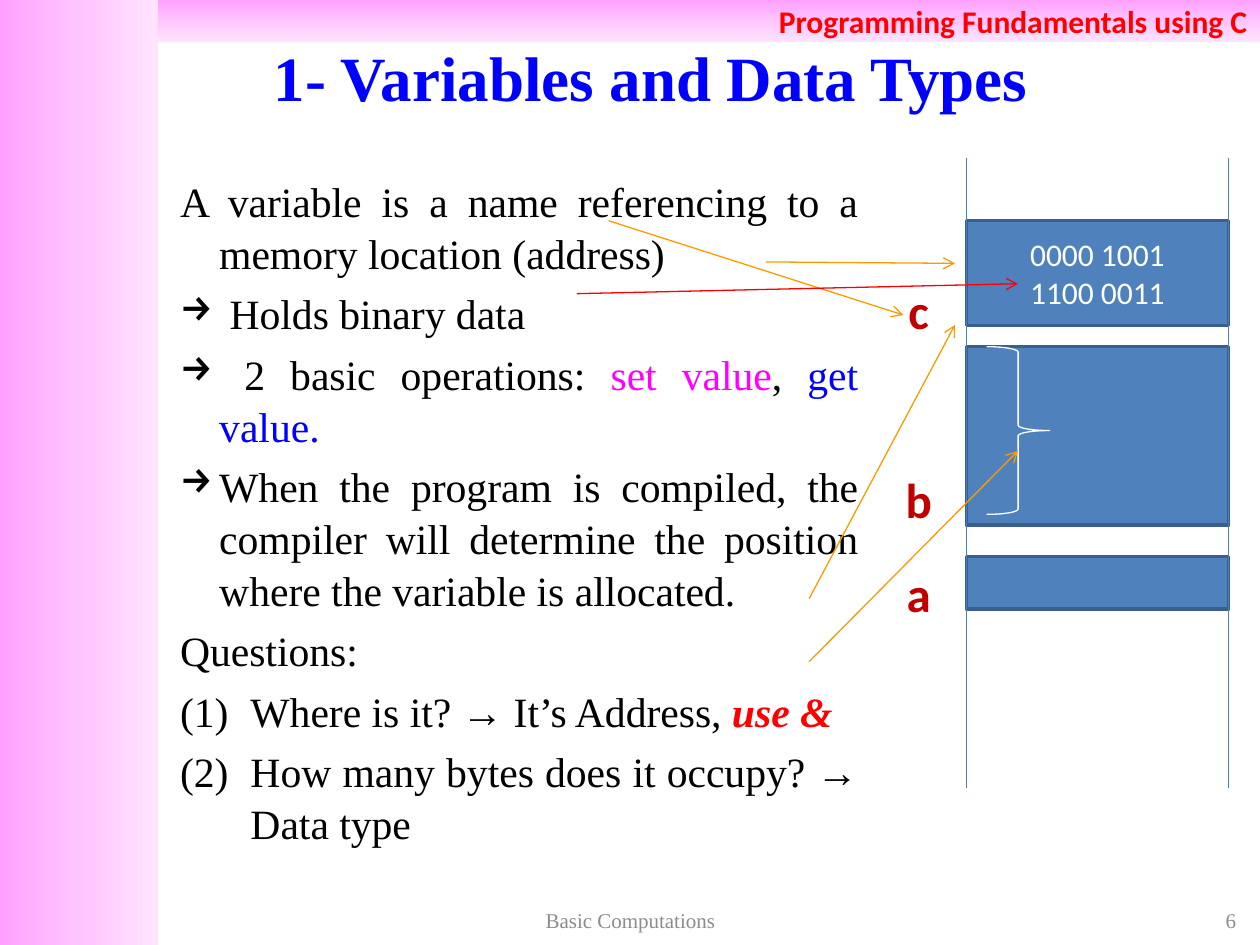
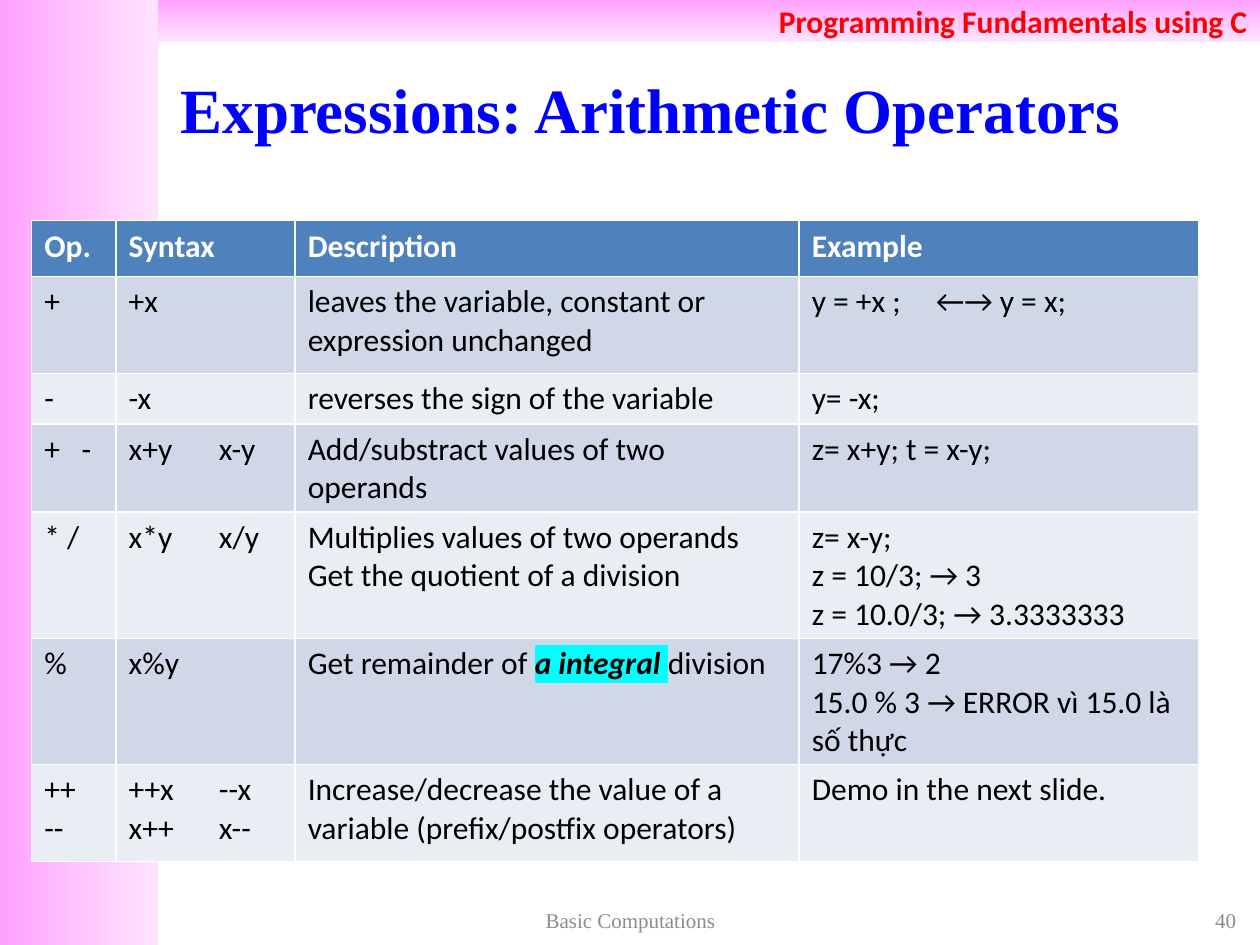
import copy
from dataclasses import dataclass

import pptx
import pptx.dml.color
import pptx.enum.shapes
import pptx.enum.text
import pptx.oxml
import pptx.oxml.ns
import pptx.util

Cm = pptx.util.Cm
Pt = pptx.util.Pt
ALIGN = pptx.enum.text.PP_ALIGN
ANCHOR = pptx.enum.text.MSO_ANCHOR
SHAPE = pptx.enum.shapes.MSO_SHAPE


@dataclass(frozen=True)
class Theme:
    serif: str = "Times New Roman"
    sans: str = "Calibri"
    # Colours
    band: tuple = ("FFA0FF", "FFC5FF", "FFE3FF")
    red: str = "FF0000"
    blue: str = "0000FF"
    magenta: str = "FF00FF"
    label: str = "C00000"
    orange: str = "FF9900"
    grey: str = "8C8C8C"
    black: str = "000000"
    white: str = "FFFFFF"
    memory: str = "4F81BD"
    memory_edge: str = "3A5F8C"
    rail: str = "4B7EBC"
    stripes: tuple = ("D0D8E8", "E9EDF4")
    highlight: str = "00FFFF"
    # Type sizes
    title_size: float = 36
    label_size: float = 28
    body_size: float = 23.8
    text_size: float = 18
    footer_size: float = 12


THEME = Theme()


# --- Basic helpers ---

def rgb(code):
    return pptx.dml.color.RGBColor.from_string(code)


def add_xml(parent, tag, **attributes):
    """Append a DrawingML element to parent."""
    child = pptx.oxml.parse_xml(f"<a:{tag} {pptx.oxml.ns.nsdecls('a')}/>")
    for name, value in attributes.items():
        child.set(name, str(value))
    parent.append(child)
    return child


def set_font(font, name=None, size=None, color=None, bold=None, italic=None):
    if name:
        font.name = name
    if size:
        font.size = Pt(size)
    if color:
        font.color.rgb = rgb(color)
    if bold is not None:
        font.bold = bold
    if italic is not None:
        font.italic = italic


def fill_para(para, spans, align=ALIGN.LEFT, **font):
    """Write spans, each a string or a (string, run style) pair."""
    para.alignment = align
    set_font(para.font, **font)
    for part in [spans] if isinstance(spans, str) else spans:
        text, style = (part, {}) if isinstance(part, str) else part
        span = para.add_run()
        span.text = text
        style = dict(style)
        marker = style.pop("highlight", None)
        set_font(span.font, **style)
        if marker:
            tint = add_xml(span.font._element, "highlight")
            add_xml(tint, "srgbClr", val=marker)


def fill_frame(frame, lines, anchor=ANCHOR.MIDDLE, **style):
    frame.word_wrap = True
    frame.vertical_anchor = anchor
    for index, spans in enumerate(lines):
        para = frame.add_paragraph() if index else frame.paragraphs[0]
        fill_para(para, spans, **style)


def add_text(page, place, lines, **style):
    box = page.shapes.add_textbox(*map(Cm, place))
    fill_frame(box.text_frame, lines, **style)
    return box


def add_box(page, kind, place, fill=None, line=None, width=0.75):
    box = page.shapes.add_shape(kind, *map(Cm, place))
    box.shadow.inherit = False
    if fill:
        box.fill.solid()
        box.fill.fore_color.rgb = rgb(fill)
    else:
        box.fill.background()
    if line:
        box.line.color.rgb = rgb(line)
        box.line.width = Pt(width)
    else:
        box.line.fill.background()
    return box


def add_line(page, start, end, color, arrow=False):
    line = page.shapes.add_connector(
        pptx.enum.shapes.MSO_CONNECTOR.STRAIGHT, *map(Cm, start + end))
    line.line.color.rgb = rgb(color)
    line.line.width = Pt(0.75)
    if arrow:
        add_xml(line.line._get_or_add_ln(), "tailEnd", type="arrow")
    add_xml(line._element.spPr, "effectLst")


# --- Shared page furniture ---

def add_band(page, place, angle):
    band = add_box(page, SHAPE.RECTANGLE, place)
    band.fill.gradient()
    band.fill.gradient_angle = angle
    stops = band._element.spPr.find(".//" + pptx.oxml.ns.qn("a:gsLst"))
    middle = copy.deepcopy(stops[0])
    middle.set("pos", "50000")
    stops.insert(1, middle)
    for stop, color in zip(band.fill.gradient_stops, THEME.band):
        stop.color.rgb = rgb(color)
    return band


def add_page(deck, title, title_height, number):
    page = deck.slides.add_slide(deck.slide_layouts[6])
    add_band(page, (0, 0, 3.18, 19.05), 0)
    header = add_band(page, (3.18, 0, 22.22, 0.84), 270)
    fill_frame(header.text_frame, ["Programming Fundamentals using C"],
               align=ALIGN.RIGHT, name=THEME.sans, size=THEME.text_size,
               color=THEME.red, bold=True)
    add_text(page, (2.11, 0.76, 22.02, title_height), [title],
             align=ALIGN.CENTER, name=THEME.serif, size=THEME.title_size,
             color=THEME.blue, bold=True)
    footer = dict(name=THEME.serif, size=THEME.footer_size, color=THEME.grey)
    add_text(page, (19.25, 18.21, 5.92, 0.69), [str(number)],
             align=ALIGN.RIGHT, **footer)
    add_text(page, (8.69, 18.21, 8.04, 0.69), ["Basic Computations"],
             align=ALIGN.CENTER, **footer)
    return page


# --- Variables page ---

def set_bullet(para, bullet):
    """Hang the paragraph, with an arrow, a number or no bullet."""
    margin, hang = (2.69, 1.42) if bullet == "number" else (2.06, 0.79)
    properties = para._element.get_or_add_pPr()
    properties.set("marL", str(Cm(margin)))
    properties.set("indent", str(-Cm(hang)))
    para.space_before = Pt(4.8)
    para.line_spacing = 1.04
    if bullet == "number":
        mark = add_xml(properties, "buAutoNum", type="arabicParenBoth")
    elif bullet == "arrow":
        mark = add_xml(properties, "buChar", char="→")
    else:
        mark = add_xml(properties, "buNone")
    font = properties.find(pptx.oxml.ns.qn("a:defRPr"))
    if font is not None:
        mark.addnext(font)


def add_explanation(page):
    items = [
        (None, "A variable is a name referencing to a memory location (address)"),
        ("arrow", " Holds binary data"),
        ("arrow", [" 2 basic operations: ",
                   ("set value", dict(color=THEME.magenta)), ", ",
                   ("get value.", dict(color=THEME.blue))]),
        ("arrow", "When the program is compiled, the compiler will determine "
                  "the position where the variable is allocated."),
        (None, "Questions:"),
        ("number", ["Where is it? → It’s Address, ",
                    ("use &", dict(color=THEME.red, bold=True, italic=True))]),
        ("number", "How many bytes does it occupy? → Data type"),
    ]
    box = add_text(page, (2.11, 3.38, 15.44, 13.64),
                   [spans for _, spans in items], anchor=ANCHOR.TOP,
                   align=ALIGN.JUSTIFY, name=THEME.serif,
                   size=THEME.body_size, color=THEME.black)
    for para, (bullet, _) in zip(box.text_frame.paragraphs, items):
        set_bullet(para, bullet)


def add_memory(page):
    left, width = 19.48, 5.29
    cells = [("c", 4.45, 2.11, 5.72, ["0000 1001", "1100 0011"]),
             ("b", 6.99, 3.6, 9.53, []),
             ("a", 11.22, 1.06, 11.43, [])]
    for name, top, height, label_top, bits in cells:
        cell = add_box(page, SHAPE.RECTANGLE, (left, top, width, height),
                       THEME.memory, THEME.memory_edge, 2)
        fill_frame(cell.text_frame, bits, align=ALIGN.CENTER, name=THEME.sans,
                   size=THEME.text_size, color=THEME.white)
        add_text(page, (17.78, label_top, 1.48, 1.06), [name],
                 align=ALIGN.CENTER, name=THEME.sans, size=THEME.label_size,
                 color=THEME.label, bold=True)
    for x in (left, left + width):
        add_line(page, (x, 3.18), (x, 15.88), THEME.rail)
    add_box(page, SHAPE.RIGHT_BRACE, (19.89, 6.99, 1.27, 3.38),
            line=THEME.white)


def add_arrows(page):
    for start, end, color in [
            ((12.27, 4.45), (18.21, 6.35), THEME.orange),
            ((15.44, 5.28), (19.25, 5.31), THEME.orange),
            ((16.31, 12.07), (19.25, 6.55), THEME.orange),
            ((16.31, 13.34), (20.52, 9.09), THEME.orange),
            ((11.63, 5.92), (20.52, 5.72), THEME.red)]:
        add_line(page, start, end, color, arrow=True)


# --- Operators page ---

def set_tab(para, position):
    properties = para._element.get_or_add_pPr()
    tabs = add_xml(properties, "tabLst")
    add_xml(tabs, "tab", pos=Cm(position), algn="l")
    font = properties.find(pptx.oxml.ns.qn("a:defRPr"))
    if font is not None:
        tabs.addnext(font)


def add_operator_table(page):
    columns = [1.7, 3.61, 10.16, 8.05]
    heights = [1.12, 1.96, 0.94, 1.12, 1.12, 1.96, 1.96]
    tab_stops = [0.75, 1.82, None, 2.5]
    integral = ("a integral ", dict(bold=True, italic=True,
                                    highlight=THEME.highlight))
    rows = [
        [["Op."], ["Syntax"], ["Description"], ["Example"]],
        [["+"], ["+x"],
         ["leaves the variable, constant or expression unchanged"],
         ["y = +x ;\t←→ y = x;"]],
        [["-"], ["-x"], ["reverses the sign of the variable"], ["y= -x;"]],
        [["+\t-"], ["x+y\tx-y"], ["Add/substract values of two operands"],
         ["z= x+y; t = x-y;"]],
        [["* /"], ["x*y\tx/y"],
         ["Multiplies values of two operands",
          "Get the quotient of a division"],
         ["z= x-y;", "z = 10/3; → 3", "z = 10.0/3; → 3.3333333"]],
        [["%"], ["x%y"], [["Get remainder of ", integral, "division"]],
         ["17%3 → 2", "15.0 % 3 → ERROR vì 15.0 là số thực"]],
        [["++", "--"], ["++x\t--x", "x++\tx--"],
         ["Increase/decrease the value of a variable "
          "(prefix/postfix operators)"],
         ["Demo in the next slide."]],
    ]
    place = (0.64, 4.45, sum(columns), sum(heights))
    table = page.shapes.add_table(len(rows), len(columns),
                                  *map(Cm, place)).table
    for column, width in zip(table.columns, columns):
        column.width = Cm(width)
    for r, (row, height) in enumerate(zip(rows, heights)):
        table.rows[r].height = Cm(height)
        header = r == 0
        for c, lines in enumerate(row):
            cell = table.cell(r, c)
            cell.fill.solid()
            cell.fill.fore_color.rgb = rgb(
                THEME.memory if header else THEME.stripes[(r - 1) % 2])
            fill_frame(cell.text_frame, lines, anchor=ANCHOR.TOP,
                       name=THEME.sans, size=THEME.text_size, bold=header,
                       color=THEME.white if header else THEME.black)
            for para in cell.text_frame.paragraphs:
                if "\t" in para.text:
                    set_tab(para, tab_stops[c])


def main():
    deck = pptx.Presentation()
    deck.slide_width, deck.slide_height = Cm(25.4), Cm(19.05)

    variables = add_page(deck, "1- Variables and Data Types", 1.57, 6)
    add_explanation(variables)
    add_memory(variables)
    add_arrows(variables)

    operators = add_page(deck, "Expressions: Arithmetic Operators", 2.84, 40)
    add_operator_table(operators)

    deck.save("out.pptx")


if __name__ == "__main__":
    main()
